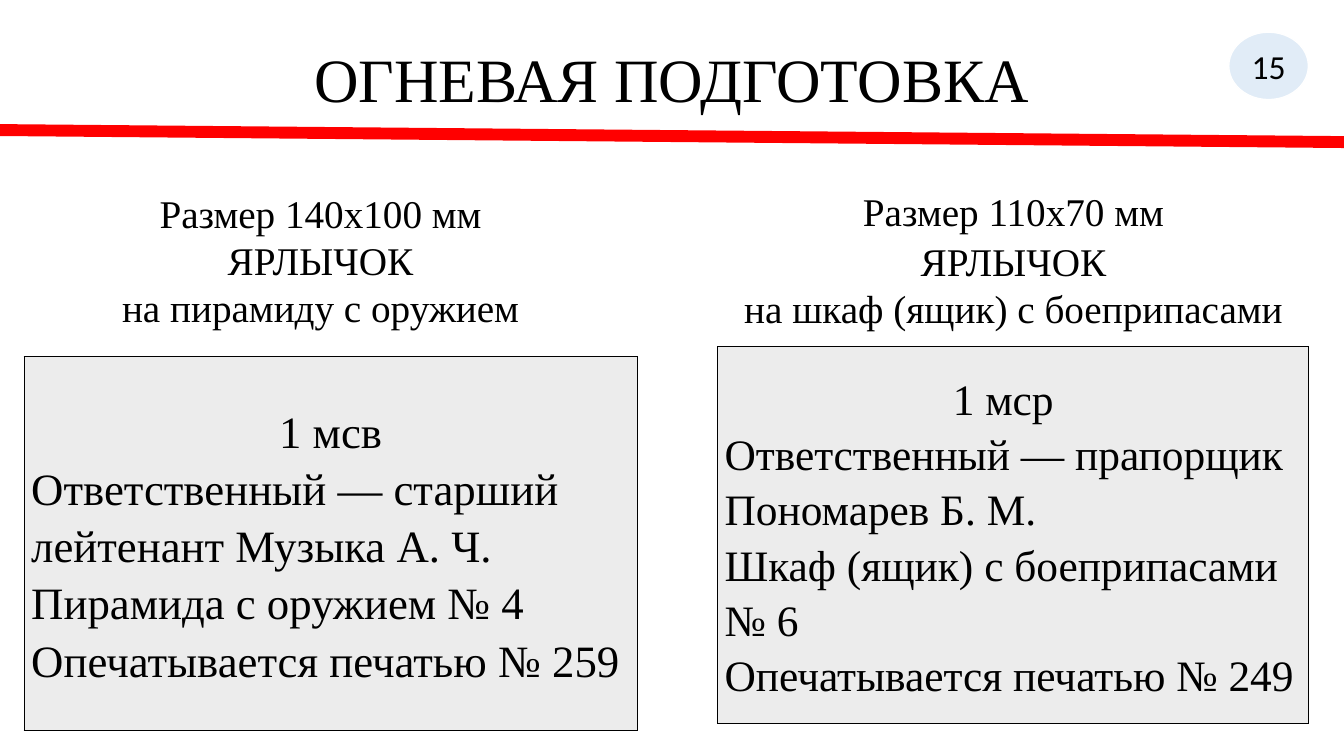
from lxml import etree
from pptx import Presentation
from pptx.dml.color import RGBColor
from pptx.enum.shapes import MSO_CONNECTOR, MSO_SHAPE
from pptx.enum.text import MSO_ANCHOR, PP_ALIGN
from pptx.oxml.ns import qn
from pptx.util import Pt

LINE = MSO_CONNECTOR.STRAIGHT
OVAL = MSO_SHAPE.OVAL
TOP, MIDDLE = MSO_ANCHOR.TOP, MSO_ANCHOR.MIDDLE
CENTER, LEFT = PP_ALIGN.CENTER, PP_ALIGN.LEFT
SERIF, SANS = "Times New Roman", "Calibri"
HEX = {"ink": "000000", "rule": "FF0000", "badge": "5B9BD5",
       "edge": "FFFFFF", "card": "DBDBDB"}


def color(name):
    return RGBColor.from_string(HEX[name])


def paint(fill, name, alpha):
    fill.solid()
    fill.fore_color.rgb = color(name)
    node = fill.fore_color._xFill.find(qn("a:srgbClr"))
    etree.SubElement(node, qn("a:alpha")).set("val", str(alpha * 1000))


def write(frame, rows, size, font=SERIF):
    for i, (text, align, space) in enumerate(rows):
        para = frame.paragraphs[0] if i == 0 else frame.add_paragraph()
        para.alignment = align
        para.line_spacing = space
        para.space_before = para.space_after = Pt(0)
        run = para.add_run()
        run.text = text
        run.font.size = Pt(size)
        run.font.name = font
        run.font.color.rgb = color("ink")


def header(slide, box):
    left, top, width, height = box
    title = slide.shapes.title
    title.left, title.top = Pt(left + 66), Pt(top + 28.8)
    title.width, title.height = Pt(width - 132), Pt(height - 28.8)
    frame = title.text_frame
    frame.vertical_anchor = TOP
    frame.margin_top = Pt(6.5)
    write(frame, [("ОГНЕВАЯ ПОДГОТОВКА", CENTER, 0.9)], 44)

    rule = slide.shapes.add_connector(
        LINE, Pt(left), Pt(top + 92.9), Pt(left + width), Pt(top + 101.5))
    rule.line.color.rgb = color("rule")
    rule.line.width = Pt(8.5)
    etree.SubElement(rule._element.spPr, qn("a:effectLst"))

    badge = slide.shapes.add_shape(
        OVAL, Pt(left + width - 82.3), Pt(top + 23), Pt(56.9), Pt(48.2))
    badge.shadow.inherit = False
    paint(badge.fill, "badge", 18)
    badge.line.color.rgb = color("edge")
    badge.line.width = Pt(1)
    frame = badge.text_frame
    frame.vertical_anchor = MIDDLE
    frame.margin_left = frame.margin_right = Pt(0)
    write(frame, [("15", CENTER, 1)], 24, SANS)


def label(slide, box, inset, rows):
    shape = slide.shapes.add_textbox(*map(Pt, box))
    frame = shape.text_frame
    frame.word_wrap = True
    frame.vertical_anchor = TOP
    frame.margin_top = Pt(inset)
    write(frame, rows, 28)


def border(cell):
    props = cell._tc.get_or_add_tcPr()
    for i, side in enumerate(("lnL", "lnR", "lnT", "lnB")):
        edge = etree.Element(qn("a:" + side), w=str(Pt(1)))
        fill = etree.SubElement(edge, qn("a:solidFill"))
        etree.SubElement(fill, qn("a:srgbClr")).set("val", HEX["ink"])
        props.insert(i, edge)


def card(slide, box, size, head, lines, indent=0):
    table = slide.shapes.add_table(1, 1, *map(Pt, box)).table
    table.first_row = table.horz_banding = False
    cell = table.cell(0, 0)
    paint(cell.fill, "card", 50)
    border(cell)
    cell.vertical_anchor = MIDDLE
    cell.margin_left = cell.margin_right = Pt(5)
    cell.margin_top = cell.margin_bottom = Pt(0)
    align = LEFT if indent else CENTER
    rows = [(head, align, 1.15)] + [(line, LEFT, 1.15) for line in lines]
    write(cell.text_frame, rows, size)
    if indent:
        first = cell.text_frame.paragraphs[0]
        first._p.get_or_add_pPr().set("indent", str(Pt(indent)))


def rack(slide, box):
    left, top, width, height = box
    label(slide, (left + 26.6, top, 370, 131), 6.8, [
        ("Размер 140х100 мм", CENTER, 1),
        ("ЯРЛЫЧОК", CENTER, 1),
        ("на пирамиду с оружием", CENTER, 1)])
    card(slide, (left, top + 126.7, width, height - 126.7), 32, "1 мсв", [
        "Ответственный — старший лейтенант Музыка А. Ч.",
        "Пирамида с оружием № 4",
        "Опечатывается печатью № 259"])


def chest(slide, box):
    left, top, width, height = box
    label(slide, (left - 28.8, top, 480.2, 136.8), 29, [
        ("Размер 110х70 мм", CENTER, 1.07),
        ("ЯРЛЫЧОК", CENTER, 1.07),
        ("на шкаф (ящик) с боеприпасами", CENTER, 1)])
    card(slide, (left, top + 145.5, width, height - 145.5), 31, "1 мср", [
        "Ответственный — прапорщик Пономарев Б. М.",
        "Шкаф (ящик) с боеприпасами № 6",
        "Опечатывается печатью № 249"], 163)


def main():
    deck = Presentation()
    deck.slide_width, deck.slide_height = Pt(960), Pt(540)
    slide = deck.slides.add_slide(deck.slide_layouts[5])
    header(slide, (0, 0, 960, 133.2))
    rack(slide, (17.3, 128.2, 437.8, 393.8))
    chest(slide, (512.6, 102.2, 421.9, 414.8))
    deck.save("out.pptx")


if __name__ == "__main__":
    main()
